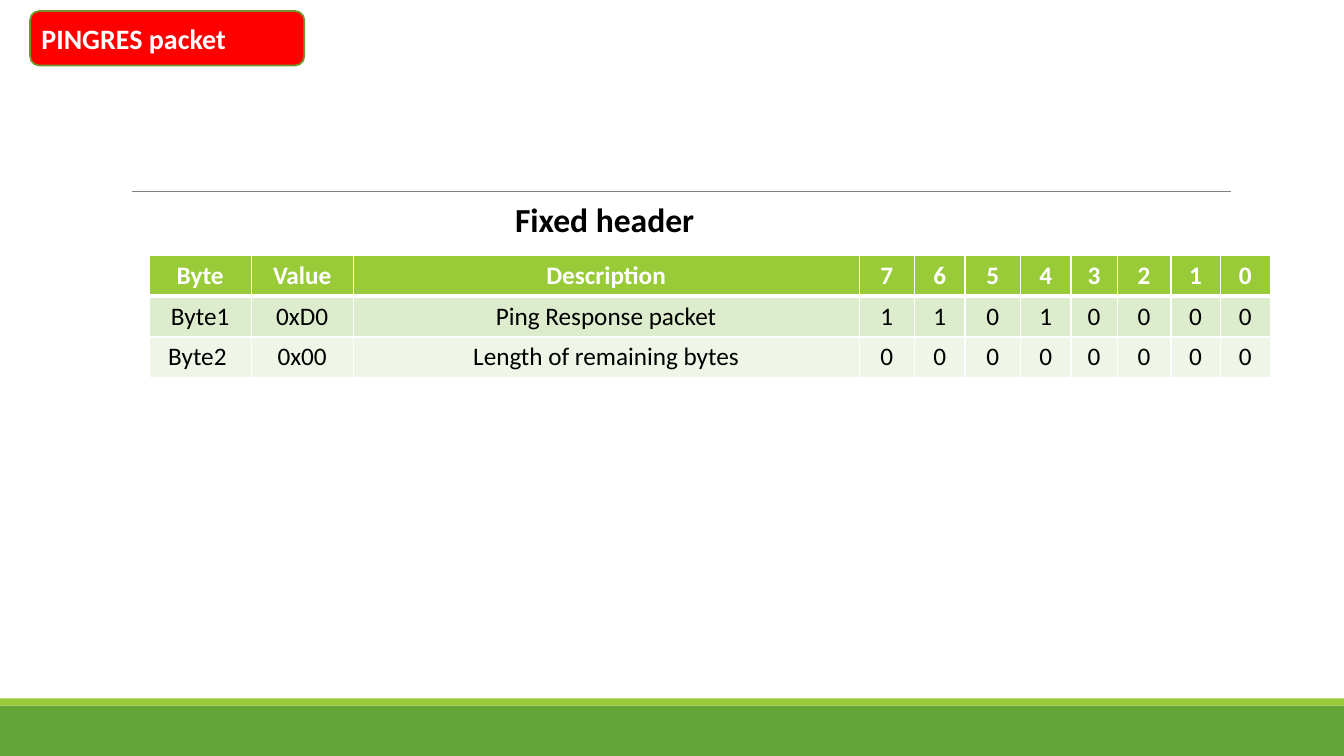
from lxml import etree
from pptx import Presentation
from pptx import util as u
from pptx.dml import color
from pptx.enum import shapes, text
from pptx.oxml import ns

FONT = "Calibri"
COLUMNS = [2.57, 2.57, 12.75, 1.4, 1.27, 1.4, 1.27, 1.17, 1.35, 1.24, 1.27]
ROW_HEIGHT = 1.03
ROWS = [
    ["Byte", "Value", "Description", *"76543210"],
    ["Byte1", "0xD0", "Ping Response packet", *"11010000"],
    ["Byte2 ", "0x00", "Length of remaining bytes", *"00000000"],
]
ROW_FILLS = ["99CB38", "DEECCE", "EFF6E8"]


def paint(target, shade):
    """Give a fill or line fill one solid colour."""
    target.solid()
    target.fore_color.rgb = color.RGBColor.from_string(shade)


def write(frame, words, size, shade, bold=True, align=text.PP_ALIGN.LEFT):
    """Write one styled run into the first paragraph of a frame."""
    para = frame.paragraphs[0]
    para.alignment = align
    span = para.add_run()
    span.text = words
    span.font.name = FONT
    span.font.size = u.Pt(size)
    span.font.bold = bold
    paint(span.font.fill, shade)


def add_block(page, kind, left, top, width, height, shade):
    """Add a plain filled shape without outline or shadow."""
    block = page.shapes.add_shape(kind, u.Cm(left), u.Cm(top), u.Cm(width), u.Cm(height))
    block.shadow.inherit = False
    paint(block.fill, shade)
    block.line.fill.background()
    return block


def add_footer(page, top, width):
    """Place the two green bands that close the page."""
    rectangle = shapes.MSO_SHAPE.RECTANGLE
    add_block(page, rectangle, 0, top + 0.18, width, 1.27, "63A537")
    add_block(page, rectangle, 0, top, width, 0.18, "99CB38")


def add_rule(page, left, top, width):
    """Draw the thin grey line above the content."""
    rule = page.shapes.add_connector(
        shapes.MSO_CONNECTOR.STRAIGHT, u.Cm(left), u.Cm(top), u.Cm(left + width), u.Cm(top))
    rule.line.width = u.Pt(0.5)
    paint(rule.line.fill, "808080")
    etree.SubElement(rule.element.spPr, ns.qn("a:effectLst"))


def add_title(page, left, top, width, height):
    """Set the page title on a red rounded badge."""
    badge = add_block(page, shapes.MSO_SHAPE.ROUNDED_RECTANGLE, left, top, width, height, "FF0000")
    badge.line.width = u.Pt(1.25)
    paint(badge.line.fill, "719629")
    title = page.shapes.title
    badge.element.addnext(title.element)
    title.left, title.top = u.Cm(left + 0.03), u.Cm(top + 0.13)
    title.width, title.height = u.Cm(width), u.Cm(height - 0.25)
    title.text_frame.auto_size = text.MSO_AUTO_SIZE.NONE
    title.text_frame.vertical_anchor = text.MSO_ANCHOR.MIDDLE
    write(title.text_frame, "PINGRES packet", 20, "FFFFFF")


def add_caption(page, left, top, width, height):
    """Write the heading of the table."""
    box = page.shapes.add_textbox(u.Cm(left), u.Cm(top), u.Cm(width), u.Cm(height))
    box.text_frame.word_wrap = False
    write(box.text_frame, "Fixed header", 24, "000000")


def add_borders(cell, top, bottom):
    """Draw white cell borders with the given top and bottom points."""
    properties = cell._tc.get_or_add_tcPr()
    for side, points in zip("LRTB", (1, 1, top, bottom)):
        border = etree.SubElement(properties, ns.qn(f"a:ln{side}"), w=str(u.Pt(points)))
        fill = etree.SubElement(border, ns.qn("a:solidFill"))
        etree.SubElement(fill, ns.qn("a:srgbClr"), val="FFFFFF")


def add_packet_table(page, left, top):
    """Build the table of header bytes and bits."""
    table = page.shapes.add_table(
        len(ROWS), len(COLUMNS), u.Cm(left), u.Cm(top),
        u.Cm(sum(COLUMNS)), u.Cm(ROW_HEIGHT * len(ROWS))).table
    for column, width in zip(table.columns, COLUMNS):
        column.width = u.Cm(width)
    for index, (row, values) in enumerate(zip(table.rows, ROWS)):
        row.height = u.Cm(ROW_HEIGHT)
        header = index == 0
        for cell, value in zip(row.cells, values):
            add_borders(cell, 3 if index == 1 else 1, 3 if header else 1)
            paint(cell.fill, ROW_FILLS[index])
            write(cell.text_frame, value, 18, "FFFFFF" if header else "000000",
                  header, text.PP_ALIGN.CENTER)


def main():
    """Build the packet page and save it."""
    deck = Presentation()
    deck.slide_width, deck.slide_height = u.Cm(33.87), u.Cm(19.05)
    page = deck.slides.add_slide(deck.slide_layouts[5])
    add_footer(page, 17.6, 33.87)
    add_rule(page, 3.33, 4.83, 27.68)
    add_title(page, 0.76, 0.28, 6.91, 1.37)
    add_packet_table(page, 3.76, 6.43)
    add_caption(page, 12.73, 4.88, 5.97, 1.27)
    deck.save("out.pptx")


if __name__ == "__main__":
    main()
